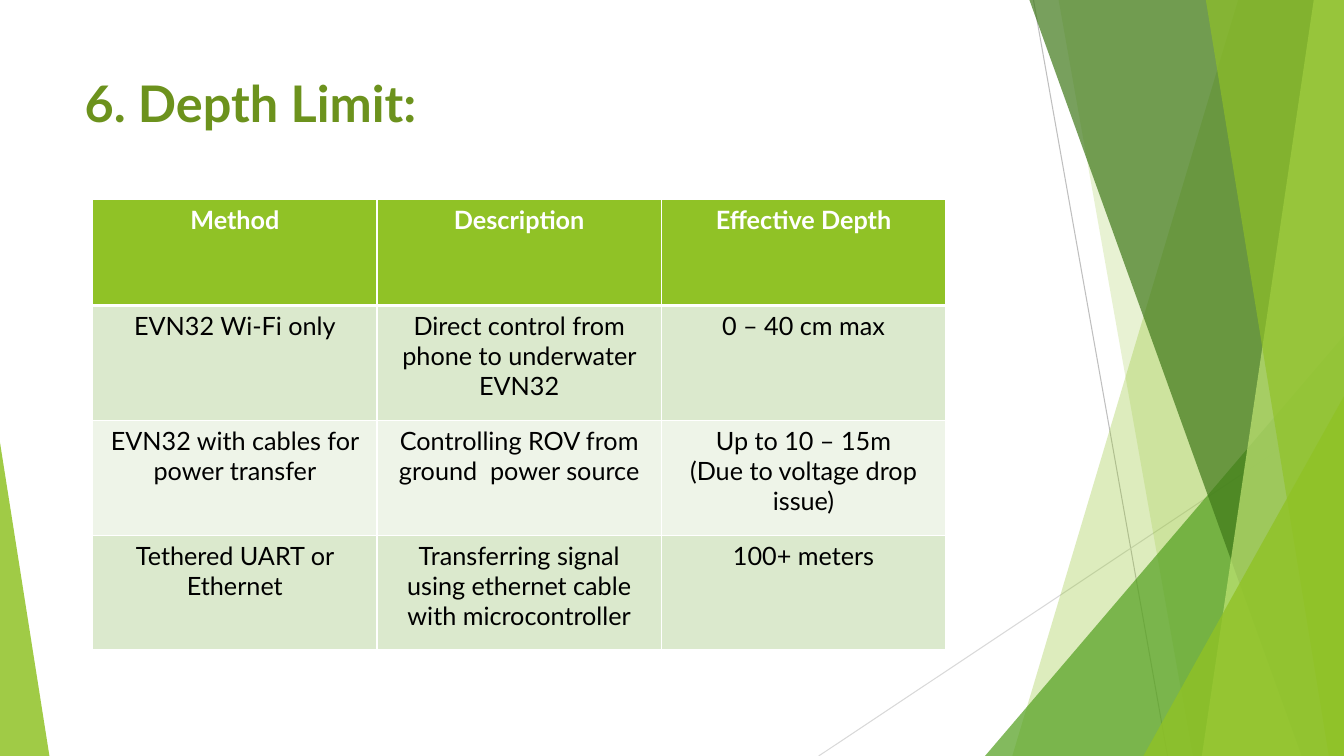
from lxml import etree
from pptx import Presentation
from pptx.dml.color import RGBColor
from pptx.enum.shapes import MSO_CONNECTOR, MSO_SHAPE
from pptx.enum.text import MSO_ANCHOR, PP_ALIGN
from pptx.oxml.ns import qn
from pptx.util import Inches, Pt

STRAIGHT = MSO_CONNECTOR.STRAIGHT
TRIANGLE = MSO_SHAPE.ISOSCELES_TRIANGLE
CENTER = PP_ALIGN.CENTER
TOP = MSO_ANCHOR.TOP

WIDTH, HEIGHT = 13.33, 7.5
FONT = "Lato"
GREEN, WHITE, BLACK = "90C226", "FFFFFF", "000000"

TITLE = "6. Depth Limit:"
METHODS = [
    [["Method"], ["Description"], ["Effective Depth"]],
    [["EVN32 Wi-Fi only"], ["Direct control from phone to underwater EVN32"], ["0 – 40 cm max"]],
    [["EVN32 with cables for power transfer"], ["Controlling ROV from ground  power source"],
     ["Up to 10 – 15m", "(Due to voltage drop issue)"]],
    [["Tethered UART or Ethernet"],
     ["Transferring signal using ethernet cable with microcontroller"], ["100+ meters"]],
]
ROW_FILLS = [GREEN, "DBE9CD", "EEF4E8", "DBE9CD"]
ROW_HEIGHTS = [1.05, 1.14, 1.14, 1.14]
COLUMN_WIDTH = 2.82
TABLE_LEFT, TABLE_TOP = 0.92, 1.98

RAYS = [((10.25, 0), (11.58, HEIGHT), "BFBFBF"), ((WIDTH, 4.03), (8.12, HEIGHT), "D9D9D9")]
FACETS = [
    ("band", {"top_x": 12.28, "bottom_x": 10.04}, GREEN, 30),
    ("band", {"top_x": 10.5, "bottom_x": 11.83}, GREEN, 20),
    ("peak", {"left": 9.77, "right": WIDTH, "top": 3.33, "apex": 1}, "54A021", 72),
    ("band", {"top_x": 10.21, "bottom_x": 12.91}, "3F7819", 70),
    ("band", {"top_x": 13.03, "bottom_x": 11.92}, "C0E474", 70),
    ("band", {"top_x": 11.96, "bottom_x": 13.18}, GREEN, 65),
    ("peak", {"left": 11.34, "right": WIDTH, "top": 3.93, "apex": 1}, GREEN, 80),
    ("peak", {"left": 0, "right": 0.49, "top": 4.39, "apex": 0}, GREEN, 85),
]


def color(code):
    return RGBColor.from_string(code)


def draw_ray(start, end, code):
    ray = slide.shapes.add_connector(STRAIGHT, *map(Inches, start + end))
    ray.line.color.rgb = color(code)
    ray.line.width = Pt(0.75)
    etree.SubElement(ray._element.spPr, qn("a:effectLst"))


def draw_band(top_x, bottom_x):
    outline = slide.shapes.build_freeform(Inches(top_x), 0)
    corners = [(WIDTH, 0), (WIDTH, HEIGHT), (bottom_x, HEIGHT)]
    outline.add_line_segments([(Inches(x), Inches(y)) for x, y in corners])
    return outline.convert_to_shape()


def draw_peak(left, right, top, apex):
    peak = slide.shapes.add_shape(
        TRIANGLE, *map(Inches, (left, top, right - left, HEIGHT - top)))
    peak.adjustments[0] = apex
    return peak


def tint(facet, code, opacity):
    facet.shadow.inherit = False
    facet.line.fill.background()
    facet.fill.solid()
    facet.fill.fore_color.rgb = color(code)
    shade = facet._element.spPr.find(qn("a:solidFill"))[0]
    etree.SubElement(shade, qn("a:alpha"), val=str(opacity * 1000))


def write(paragraph, words, size, code, bold):
    run = paragraph.add_run()
    run.text = words
    run.font.name = FONT
    run.font.size = Pt(size)
    run.font.bold = bold
    run.font.color.rgb = color(code)


def border(cell, side, width):
    edge = etree.SubElement(cell._tc.get_or_add_tcPr(), qn(f"a:ln{side}"), w=str(Pt(width)))
    fill = etree.SubElement(edge, qn("a:solidFill"))
    etree.SubElement(fill, qn("a:srgbClr"), val=WHITE)


def fill_cell(cell, lines, row):
    header = row == 0
    for side in "LRTB":
        thick = (header and side == "B") or (row == 1 and side == "T")
        border(cell, side, 3 if thick else 1)
    cell.fill.solid()
    cell.fill.fore_color.rgb = color(ROW_FILLS[row])
    cell.vertical_anchor = TOP
    frame = cell.text_frame
    for index, words in enumerate(lines):
        paragraph = frame.add_paragraph() if index else frame.paragraphs[0]
        paragraph.alignment = CENTER
        write(paragraph, words, 18, WHITE if header else BLACK, header)


prs = Presentation()
prs.slide_width, prs.slide_height = Inches(WIDTH), Inches(HEIGHT)
slide = prs.slides.add_slide(prs.slide_layouts[6])

for ray in RAYS:
    draw_ray(*ray)
DRAWERS = {"band": draw_band, "peak": draw_peak}
for form, extent, code, opacity in FACETS:
    tint(DRAWERS[form](**extent), code, opacity)

heading = slide.shapes.add_textbox(*map(Inches, (0.74, 0.67, 9.4, 1.44))).text_frame
heading.word_wrap = True
heading.vertical_anchor = TOP
write(heading.paragraphs[0], TITLE, 36, "6C921D", True)

columns = len(METHODS[0])
table = slide.shapes.add_table(
    len(METHODS), columns,
    *map(Inches, (TABLE_LEFT, TABLE_TOP, COLUMN_WIDTH * columns, sum(ROW_HEIGHTS)))).table
for column in table.columns:
    column.width = Inches(COLUMN_WIDTH)
for row, entries in enumerate(METHODS):
    table.rows[row].height = Inches(ROW_HEIGHTS[row])
    for column, lines in enumerate(entries):
        fill_cell(table.cell(row, column), lines, row)

prs.save("out.pptx")
